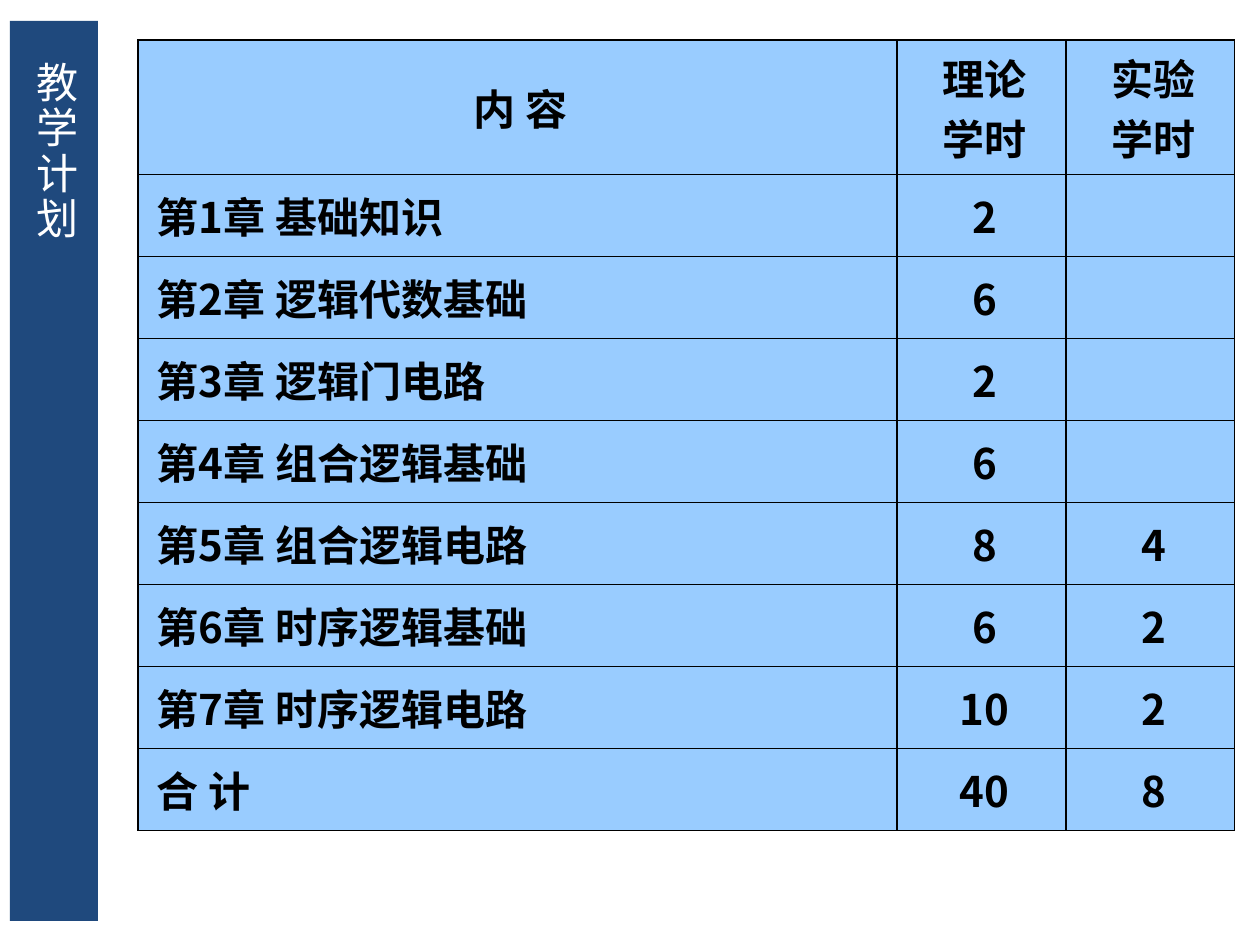
from dataclasses import dataclass

from lxml import etree
from pptx import Presentation
from pptx import util as u
from pptx.dml.color import RGBColor
from pptx.enum import shapes, text
from pptx.oxml import ns

SCALE = 914400 / 126
HUES = {"bar": "1F497D", "cell": "99CCFF", "ink": "000000", "title": "FFFFFF"}
LEFT, MID = text.PP_ALIGN.LEFT, text.PP_ALIGN.CENTER


@dataclass
class Row:
    name: str
    theory: str
    lab: str = ""
    high: int = 82


ROWS = [
    Row("内 容", "理论\n学时", "实验\n学时", 118),
    Row("第1章 基础知识", "2"),
    Row("第2章 逻辑代数基础", "6"),
    Row("第3章 逻辑门电路", "2"),
    Row("第4章 组合逻辑基础", "6"),
    Row("第5章 组合逻辑电路", "8", "4"),
    Row("第6章 时序逻辑基础", "6", "2"),
    Row("第7章 时序逻辑电路", "10", "2"),
    Row("合 计", "40", "8"),
]
COLS = [759, 169, 169]


def px(n: int) -> u.Emu:
    return u.Emu(round(n * SCALE))


def hue(key: str) -> RGBColor:
    return RGBColor.from_string(HUES[key])


def place(shape, *box: int) -> None:
    for name, n in zip(("left", "top", "width", "height"), box):
        setattr(shape, name, px(n))


def style(font, key: str, **vals) -> None:
    for name, val in vals.items():
        setattr(font, name, val)
    font.color.rgb = hue(key)


def edge(cell) -> None:
    """Draw thin lines on all four sides, ahead of the fill."""
    props = cell._tc.get_or_add_tcPr()
    for i, side in enumerate(("lnL", "lnR", "lnT", "lnB")):
        line = etree.Element(ns.qn(f"a:{side}"), w=str(u.Pt(0.75)))
        fill = etree.SubElement(line, ns.qn("a:solidFill"))
        etree.SubElement(fill, ns.qn("a:srgbClr"), val=HUES["ink"])
        props.insert(i, line)


def write(cell, words: str, align) -> None:
    cell.fill.solid()
    cell.fill.fore_color.rgb = hue("cell")
    cell.vertical_anchor = text.MSO_ANCHOR.MIDDLE
    edge(cell)
    cell.text = words
    for para in cell.text_frame.paragraphs:
        para.alignment = align
        props = para._p.get_or_add_pPr()
        props.set("marL", str(u.Inches(0.3)))
        props.set("indent", str(u.Inches(-0.25)))
        style(para.font, "ink", size=u.Pt(24), bold=True)
        for run in para.runs:
            style(run.font, "ink", size=u.Pt(24), bold=True, name="Noto Sans CJK SC")
            east = etree.SubElement(run._r.get_or_add_rPr(), ns.qn("a:ea"))
            east.set("typeface", "Noto Sans CJK SC")


deck = Presentation()
deck.slide_width, deck.slide_height = px(1260), px(945)
slide = deck.slides.add_slide(deck.slide_layouts[5])

# Side bar
bar = slide.shapes.add_shape(shapes.MSO_SHAPE.RECTANGLE, 0, 0, 0, 0)
place(bar, 10, 21, 88, 900)
bar.shadow.inherit = False
bar.fill.solid()
bar.fill.fore_color.rgb = hue("bar")
bar.line.fill.background()

# Upright title, in front of the bar
title = slide.shapes.title
bar.element.addnext(title.element)
place(title, 15, 55, 82, 847)
frame = title.text_frame
frame.text = "教学计划"
frame.auto_size = text.MSO_AUTO_SIZE.NONE
frame.vertical_anchor = text.MSO_ANCHOR.MIDDLE
frame._txBody.bodyPr.set("vert", "eaVert")
frame.paragraphs[0].alignment = LEFT
run = frame.paragraphs[0].runs[0]
style(run.font, "title", size=u.Pt(24), name="Karla")
run._r.get_or_add_rPr().set("spc", "200")

# Table of hours
box = (138, 40, sum(COLS), sum(row.high for row in ROWS))
grid = slide.shapes.add_table(len(ROWS), len(COLS), *map(px, box)).table
grid.first_row = grid.horz_banding = False
for col, wide in zip(grid.columns, COLS):
    col.width = px(wide)
for i, row in enumerate(ROWS):
    grid.rows[i].height = px(row.high)
    for j, words in enumerate((row.name, row.theory, row.lab)):
        write(grid.cell(i, j), words, LEFT if i and not j else MID)

deck.save("out.pptx")
